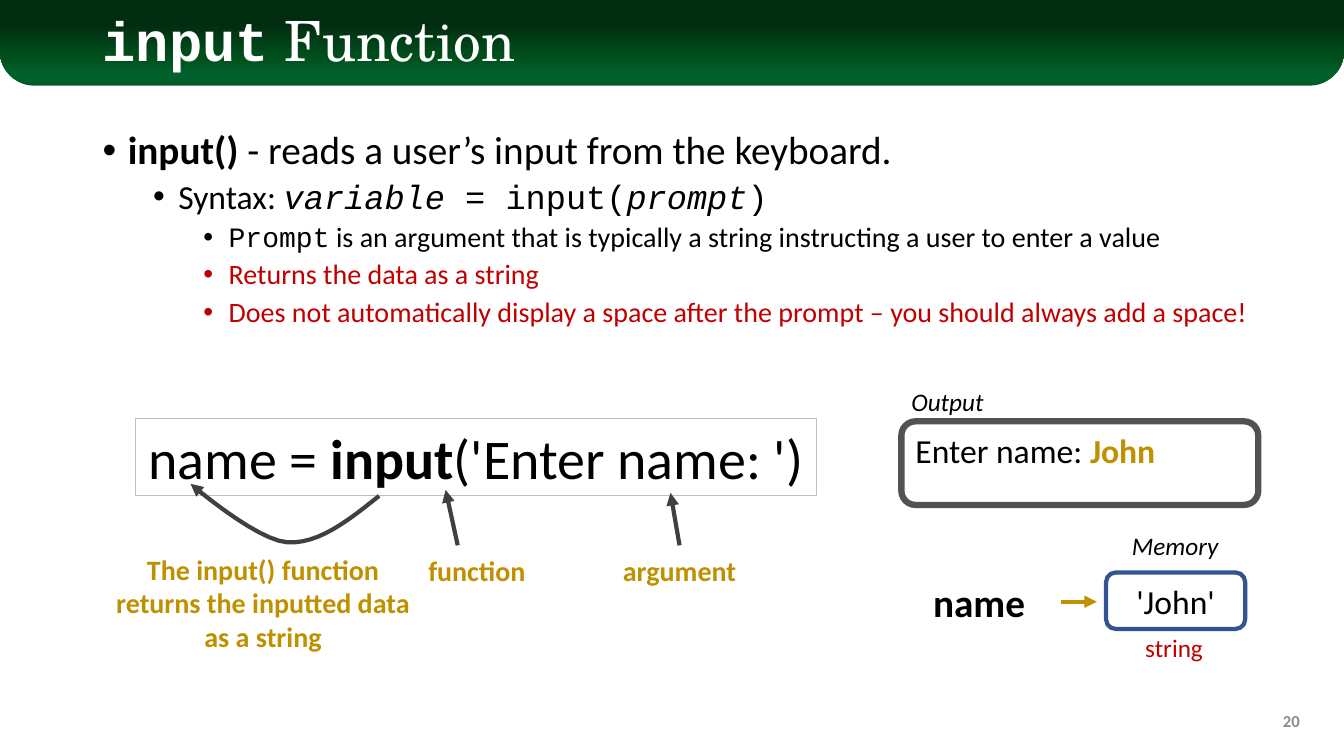
"""Build the slide that explains the input function."""
from lxml.etree import SubElement
from pptx import Presentation
from pptx.dml.color import RGBColor
from pptx.enum.shapes import MSO_CONNECTOR as Connector, MSO_SHAPE as Shape
from pptx.enum.text import MSO_ANCHOR as Anchor, PP_ALIGN as Align
from pptx.oxml.ns import qn
from pptx.util import Pt

PX = 9144
COLORS = {
    "white": "FFFFFF", "black": "000000", "red": "C00000", "gold": "BF9000",
    "grey": "8C8C8C", "frame": "BFBFBF", "arrow": "404040",
    "output": "525252", "memory": "325491",
}
HEADER_STOPS = {0: "005C2B", 15: "00602B", 32: "00501D", 72: "002D10"}


def write(box, paragraphs, align=Align.LEFT, anchor=Anchor.TOP, wrap=True):
    frame = box.text_frame
    frame.word_wrap = wrap
    frame.vertical_anchor = anchor
    for index, spans in enumerate(paragraphs):
        para = frame.add_paragraph() if index else frame.paragraphs[0]
        para.alignment = align
        for text, size, color, formats in spans:
            span = para.add_run()
            span.text = text
            span.font.size = Pt(size)
            span.font.color.rgb = RGBColor.from_string(COLORS[color])
            for name, value in {"name": "Calibri", "bold": False, **formats}.items():
                setattr(span.font, name, value)


def style_line(item, color, width, arrow=False):
    item.line.color.rgb = RGBColor.from_string(COLORS[color])
    item.line.width = Pt(width)
    if arrow:
        SubElement(item.line._get_or_add_ln(), qn("a:tailEnd"), type="triangle")


deck = Presentation()
deck.slide_width, deck.slide_height = 1333 * PX, 750 * PX
page = deck.slides.add_slide(deck.slide_layouts[6])
shapes = page.shapes

header = shapes.add_shape(Shape.ROUND_2_SAME_RECTANGLE, 0, 0, 1333 * PX, 85 * PX)
header.shadow.inherit = False
header.adjustments[0] = 0.4
header.line.fill.background()
header.fill.gradient()
header.fill.gradient_angle = 270
header._element.spPr.get_or_add_xfrm().set("flipV", "1")
stops = header._element.spPr.find(qn("a:gradFill")).find(qn("a:gsLst"))
for stop in list(stops):
    stops.remove(stop)
for percent, color in HEADER_STOPS.items():
    stop = SubElement(stops, qn("a:gs"), pos=str(percent * 1000))
    SubElement(stop, qn("a:srgbClr"), val=color)

BOLD, ITALIC = {"bold": True}, {"italic": True}
CODE = {"name": "Courier New"}
CODE_ITALIC = {**CODE, **ITALIC}

title = shapes.add_textbox(92 * PX, 13 * PX, 1150 * PX, 61 * PX)
write(title, [[
    ("input", 39.6, "white", {**CODE, **BOLD}),
    (" Function", 39.6, "white", {"name": "TeX Gyre Schola"}),
]], anchor=Anchor.MIDDLE)
title.text_frame.paragraphs[0].line_spacing = 0.9

body = shapes.add_textbox(92 * PX, 125 * PX, 1184 * PX, 552 * PX)
write(body, [
    [("input() ", 28, "black", BOLD),
     ("- reads a user’s input from the keyboard.", 28, "black", {})],
    [("Syntax: ", 24, "black", {}), ("variable", 24, "black", CODE_ITALIC),
     (" = input(", 24, "black", CODE), ("prompt", 24, "black", CODE_ITALIC),
     (")", 24, "black", CODE)],
    [("Prompt", 20, "black", CODE),
     (" is an argument that is typically a string instructing a user to enter a value",
      20, "black", {})],
    [("Returns the data as a string", 20, "red", {})],
    [("Does not automatically display a space after the prompt"
      " – you should always add a space!", 20, "red", {})],
])
for para, level in zip(body.text_frame.paragraphs, (0, 1, 2, 2, 2)):
    para.level = level
    para.line_spacing = 0.9
    para.space_before = Pt(5 if level else 10)
    properties = para._p.get_or_add_pPr()
    properties.set("marL", str((25 + 50 * level) * PX))
    properties.set("indent", str(-25 * PX))
    SubElement(properties, qn("a:buFont"), typeface="Arial")
    SubElement(properties, qn("a:buChar"), char="•")

boxes = [
    (Shape.RECTANGLE, (134, 415, 676, 77), None, ("frame", 0.75), Align.CENTER,
     Anchor.TOP, False,
     [("name = ", 40, "black", {}), ("input", 40, "black", BOLD),
      ("('Enter name: ')", 40, "black", {})]),
    (Shape.RECTANGLE, (96, 543, 330, 111), "white", None, Align.CENTER,
     Anchor.TOP, True,
     [("The input() function returns the inputted data as a string",
       20, "gold", BOLD)]),
    (Shape.ROUNDED_RECTANGLE, (894, 418, 354, 83), None, ("output", 4.5), Align.LEFT,
     Anchor.TOP, True,
     [("Enter name: ", 24, "black", {}), ("John", 24, "gold", BOLD)]),
    (Shape.ROUNDED_RECTANGLE, (1097, 568, 138, 56), None, ("memory", 3), Align.CENTER,
     Anchor.MIDDLE, True, [("'John'", 24, "black", {})]),
]
for kind, place, fill, line, align, anchor, wrap, spans in boxes:
    box = shapes.add_shape(kind, *(value * PX for value in place))
    box.shadow.inherit = False
    if kind == Shape.ROUNDED_RECTANGLE:
        box.adjustments[0] = 0.17
    if fill:
        box.fill.solid()
        box.fill.fore_color.rgb = RGBColor.from_string(COLORS[fill])
    else:
        box.fill.background()
    if line:
        style_line(box, *line)
    else:
        box.line.fill.background()
    write(box, [spans], align, anchor, wrap)

labels = [
    ((414, 544, 118, 44), "function", 20, "gold", BOLD, Align.CENTER),
    ((607, 544, 134, 44), "argument", 20, "gold", BOLD, Align.CENTER),
    ((894, 378, 92, 40), "Output", 18, "black", ITALIC, Align.LEFT),
    ((1112, 521, 107, 40), "Memory", 18, "black", ITALIC, Align.CENTER),
    ((915, 569, 112, 57), "name", 28, "black", BOLD, Align.CENTER),
    ((1126, 622, 78, 40), "string", 18, "red", {}, Align.LEFT),
]
for place, text, size, color, formats, align in labels:
    label = shapes.add_textbox(*(value * PX for value in place))
    write(label, [[(text, size, color, formats)]], align, wrap=False)

number = shapes.add_textbox(999 * PX, 695 * PX, 300 * PX, 40 * PX)
write(number, [[("20", 12, "grey", BOLD)]], Align.RIGHT, Anchor.MIDDLE)

curves = [
    ((376, 492), (346, 516), (316, 540), (285, 538)),
    ((285, 538), (254, 536), (189, 480), (189, 480)),
]
STEPS = 12
points = []
for curve in curves:
    for step in range(1, STEPS + 1):
        t = step / STEPS
        weights = ((1 - t) ** 3, 3 * t * (1 - t) ** 2, 3 * t * t * (1 - t), t ** 3)
        points.append(tuple(
            round(sum(weight * value for weight, value in zip(weights, axis)) * PX)
            for axis in zip(*curve)))
builder = shapes.build_freeform(376 * PX, 492 * PX)
builder.add_line_segments(points, close=False)
return_arrow = builder.convert_to_shape()
return_arrow.shadow.inherit = False
return_arrow.fill.background()
style_line(return_arrow, "arrow", 3, arrow=True)

arrows = [
    ((454, 541, 442, 486), "arrow"),
    ((674, 541, 665, 489), "arrow"),
    ((1052, 597, 1088, 597), "gold"),
]
for ends, color in arrows:
    arrow = shapes.add_connector(Connector.STRAIGHT, *(value * PX for value in ends))
    style_line(arrow, color, 3, arrow=True)
    SubElement(arrow._element.spPr, qn("a:effectLst"))

deck.save("out.pptx")
